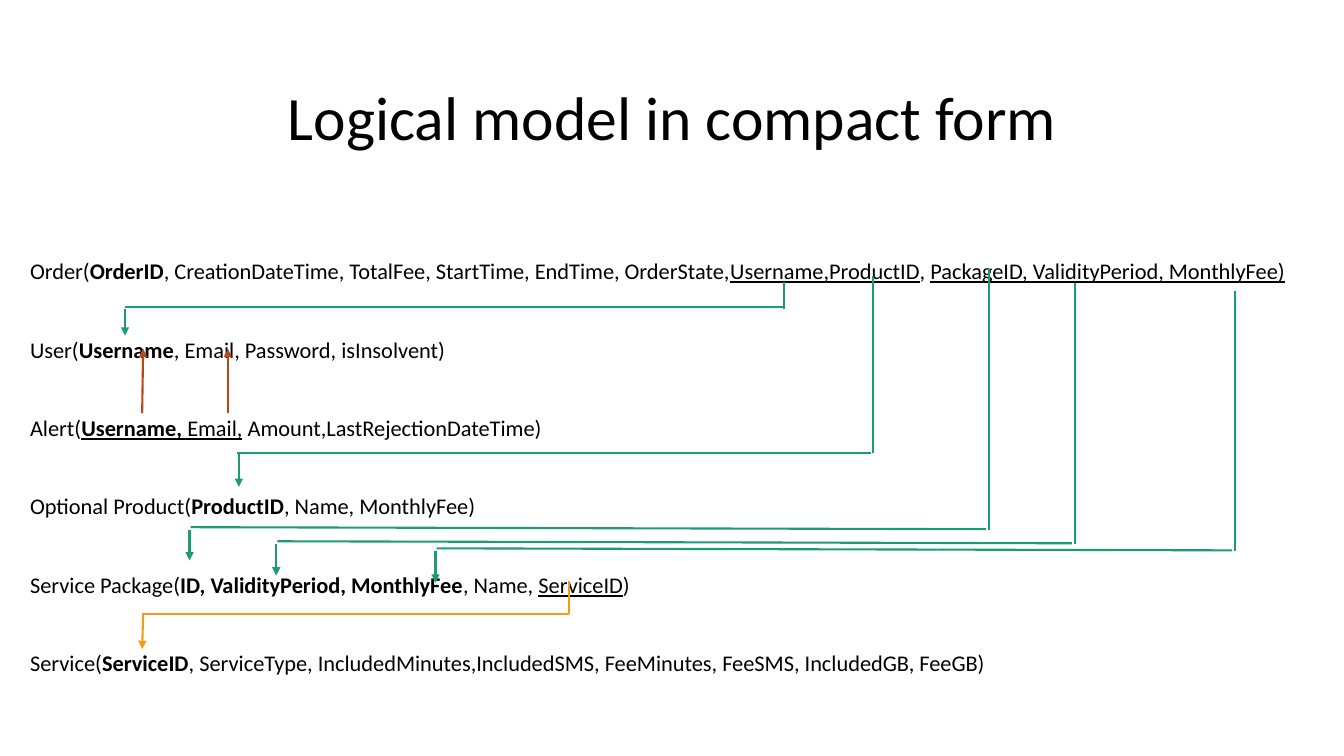
"""Builds a slide with a relational model and its foreign key arrows."""
import pptx
import pptx.dml.color
import pptx.enum.shapes
import pptx.enum.text
import pptx.oxml
import pptx.oxml.ns
import pptx.util
from pptx.util import Inches

GREEN, RED, GOLD = "1D9A78", "B74919", "F19D19"


def paint(form, tint):
    form.rgb = pptx.dml.color.RGBColor.from_string(tint)


def style(para, size, space):
    para.font.name = "Calibri"
    para.font.size = pptx.util.Pt(size)
    paint(para.font.color, "000000")
    para.line_spacing = space


deck = pptx.Presentation()
deck.slide_width, deck.slide_height = Inches(13.33), Inches(7.5)
slide = deck.slides.add_slide(deck.slide_layouts[6])

title = slide.shapes.add_textbox(Inches(1.67), Inches(0.62), Inches(10), Inches(0.95))
title.text_frame.word_wrap = True
title.text_frame.vertical_anchor = pptx.enum.text.MSO_ANCHOR.BOTTOM
head = title.text_frame.paragraphs[0]
head.text = "Logical model in compact form"
head.alignment = pptx.enum.text.PP_ALIGN.CENTER
style(head, 44, 0.9)

tables = [
    [("Order(", ""), ("OrderID", "b"),
     (", CreationDateTime, TotalFee, StartTime, EndTime, OrderState,", ""),
     ("Username,ProductID", "u"), (", ", ""),
     ("PackageID, ValidityPeriod, MonthlyFee)", "u")],
    [("User(", ""), ("Username", "b"), (", Email, Password, isInsolvent)", "")],
    [("Alert(", ""), ("Username, ", "bu"), ("Email,", "u"),
     (" Amount,LastRejectionDateTime)", "")],
    [("Optional Product(", ""), ("ProductID", "b"), (", Name, MonthlyFee)", "")],
    [("Service Package(", ""), ("ID, ValidityPeriod, MonthlyFee", "b"),
     (", Name, ", ""), ("ServiceID", "u"), (")", "")],
    [("Service(", ""), ("ServiceID", "b"),
     (", ServiceType, IncludedMinutes,IncludedSMS, FeeMinutes, FeeSMS, IncludedGB, FeeGB)", "")],
]
body = slide.shapes.add_textbox(Inches(0.2), Inches(2.13), Inches(12.96), Inches(4.64))
frame = body.text_frame
frame.word_wrap = True
for row, parts in enumerate(tables):
    para = frame.add_paragraph() if row else frame.paragraphs[0]
    style(para, 16, 2.4)
    para.space_before = pptx.util.Pt(10)
    for text, marks in parts:
        run = para.add_run()
        run.text = text
        if "b" in marks:
            run.font.bold = True
        if "u" in marks:
            run.font.underline = True

lines = [
    (7.78, 3.07, 7.78, 2.8, GREEN, False),
    (1.24, 3.05, 7.78, 3.05, GREEN, False),
    (1.24, 3.07, 1.24, 3.33, GREEN, True),
    (8.66, 4.49, 8.66, 2.74, GREEN, False),
    (2.35, 4.49, 8.64, 4.49, GREEN, False),
    (2.37, 4.49, 2.37, 4.83, GREEN, True),
    (1.41, 4.1, 1.42, 3.46, RED, True),
    (5.64, 6.09, 5.64, 5.76, GOLD, False),
    (1.41, 6.09, 5.64, 6.09, GOLD, False),
    (1.42, 6.09, 1.41, 6.44, GOLD, True),
    (2.26, 4.1, 2.26, 3.46, RED, True),
]
package = [
    (9.81, 2.67, 1.88, 5.26, 5.56),
    (10.66, 2.81, 2.74, 5.4, 5.71),
    (12.25, 2.89, 4.32, 5.47, 5.78),
]
for right, top, left, bend, tip in package:
    lines += [
        (right, bend, right, top, GREEN, False),
        (left + 0.01, bend - 0.03, right - 0.03, bend - 0.01, GREEN, False),
        (left, bend, left, tip, GREEN, True),
    ]

for *ends, tint, arrow in lines:
    link = slide.shapes.add_connector(
        pptx.enum.shapes.MSO_CONNECTOR.STRAIGHT, *map(Inches, ends))
    link.line.width = pptx.util.Pt(1.5)
    paint(link.line.color, tint)
    if arrow:
        tail = pptx.oxml.parse_xml(
            f'<a:tailEnd {pptx.oxml.ns.nsdecls("a")} type="triangle"/>')
        link.line._get_or_add_ln().append(tail)
    link._element.spPr.append(
        pptx.oxml.parse_xml(f'<a:effectLst {pptx.oxml.ns.nsdecls("a")}/>'))

deck.save("out.pptx")
